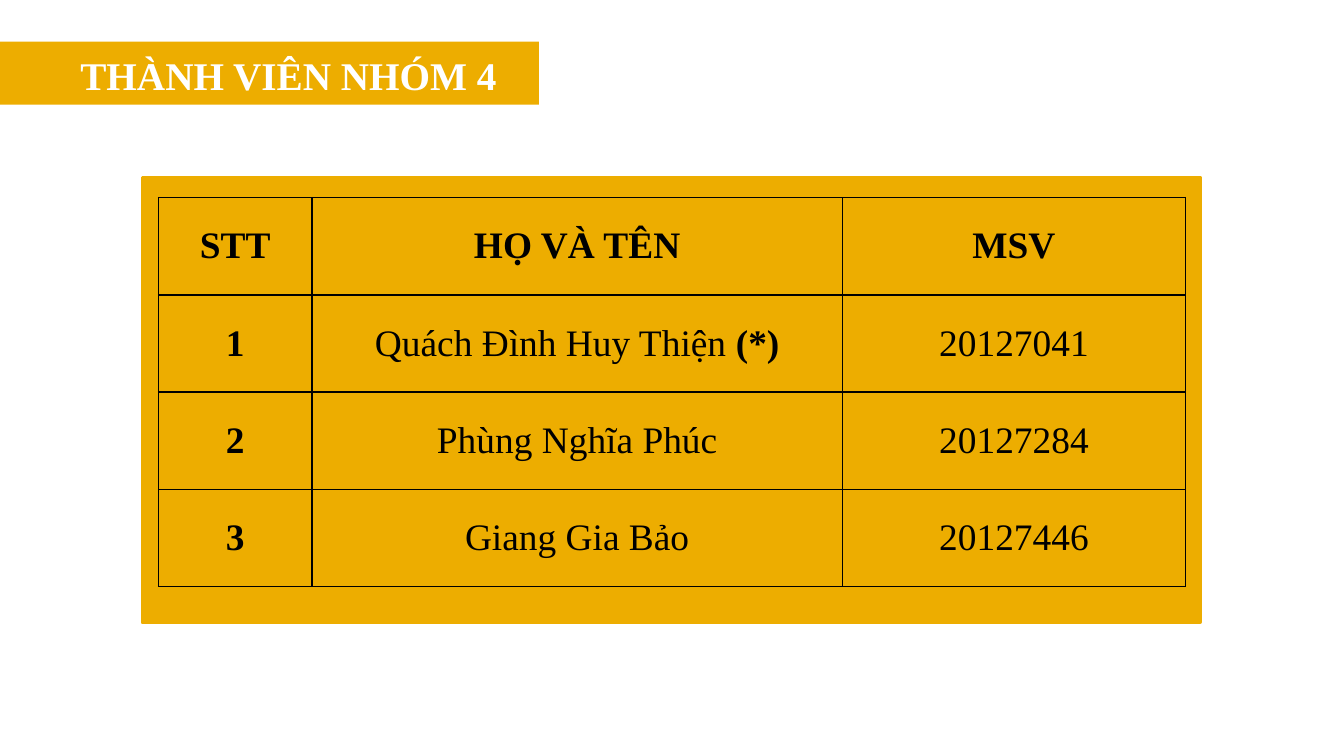
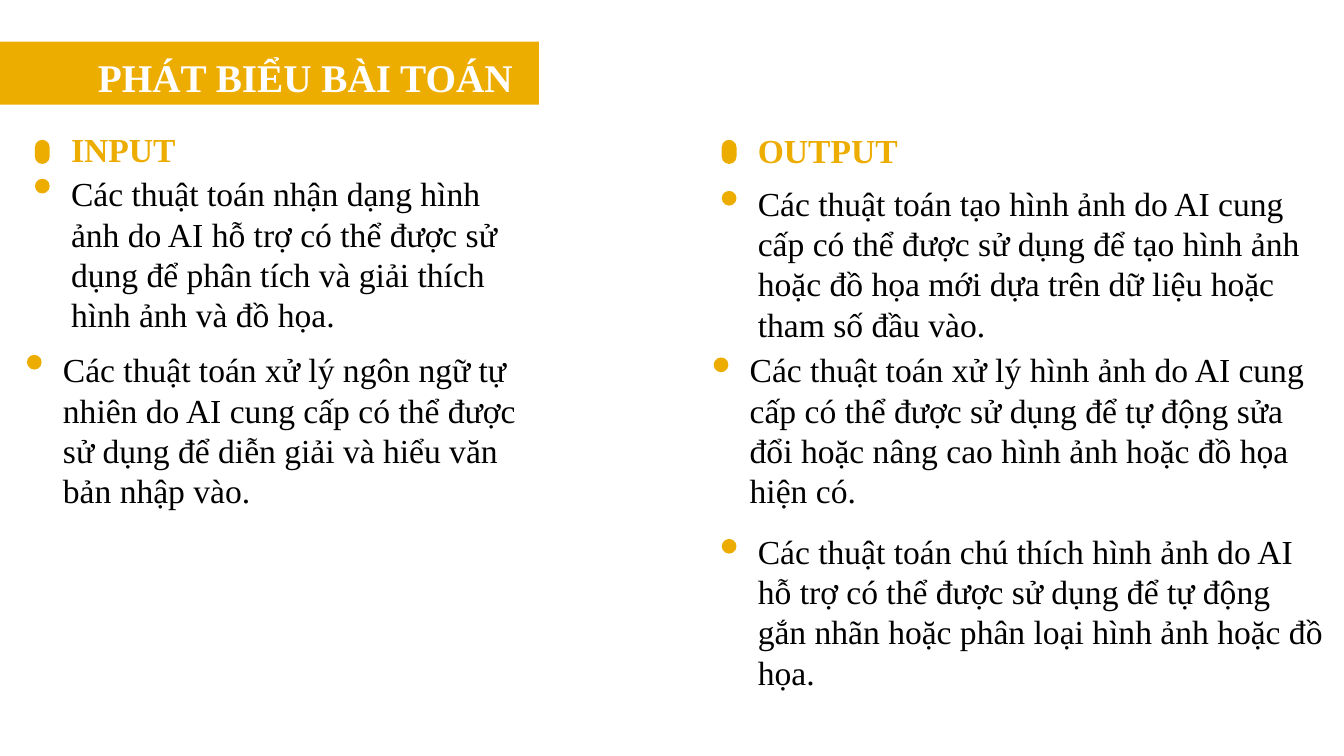
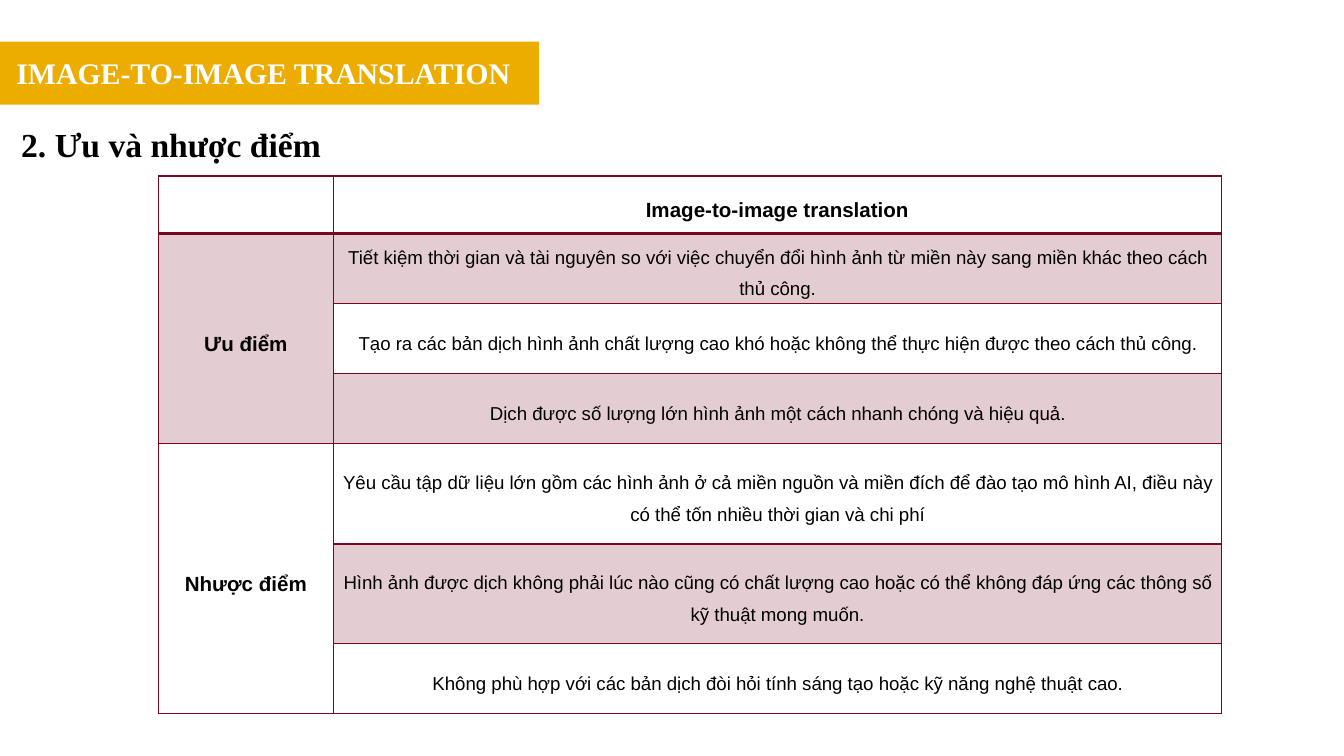
from lxml.etree import SubElement as Sub
from pptx import Presentation
from pptx.dml.color import RGBColor as Rgb
from pptx.enum.shapes import MSO_SHAPE as Form
from pptx.enum.text import MSO_ANCHOR as Anchor, MSO_AUTO_SIZE as Auto, PP_ALIGN as Align
from pptx.oxml.ns import qn
from pptx.util import Inches, Pt

CELL = Inches(0.1)
GOLD, WINE, BLACK, WHITE = "EDAD00", "7A0720", "000000", "FFFFFF"
SERIF, SANS = "Times New Roman", "Arial"
DOT, PILL, GAP = 1.1, 1.8, 1.7


def hue(code):
    return Rgb.from_string(code)


def grid(*cells):
    return [round(c * CELL) for c in cells]


def shape(slide, form, at, line=None):
    item = slide.shapes.add_shape(form, *grid(*at))
    item.shadow.inherit = False
    item.fill.solid()
    item.fill.fore_color.rgb = hue(GOLD)
    if line:
        item.line.color.rgb = hue(GOLD)
        item.line.width = Pt(line)
    else:
        item.line.fill.background()
    return item


def add_run(para, text, size, color=BLACK, bold=False, face=SERIF):
    run = para.add_run()
    run.text = text
    font = run.font
    font.name, font.size, font.bold = face, Pt(size), bold
    font.color.rgb = hue(color)


def label(slide, at, text, size=18, color=BLACK, bold=False, wrap=True):
    frame = slide.shapes.add_textbox(*grid(*at)).text_frame
    frame.word_wrap = wrap
    frame.auto_size = Auto.SHAPE_TO_FIT_TEXT
    para = frame.paragraphs[0]
    add_run(para, text, size, color, bold)
    return para


def banner(slide, text, at, size=21):
    shape(slide, Form.RECTANGLE, (0, 3.1, 40.1, 4.7))
    return label(slide, at, text, size, WHITE, True, False)


def border(cell, color, widths):
    props = cell._tc.get_or_add_tcPr()
    for side, width in zip("LRTB", widths):
        line = Sub(props, qn(f"a:ln{side}"), w=str(Pt(width)))
        fill = Sub(line, qn("a:solidFill"))
        Sub(fill, qn("a:srgbClr"), val=color)


def tint(cell, color, share):
    cell.fill.solid()
    cell.fill.fore_color.rgb = hue(color)
    code = cell._tc.tcPr.find(qn("a:solidFill")).find(qn("a:srgbClr"))
    Sub(code, qn("a:alpha"), val=str(share * 1000))


def add_table(slide, left, top, cols, rows):
    at = grid(left, top, sum(cols), sum(rows))
    table = slide.shapes.add_table(len(rows), len(cols), *at).table
    table.first_row = table.horz_banding = False
    for col, width in zip(table.columns, grid(*cols)):
        col.width = width
    for row, height in zip(table.rows, grid(*rows)):
        row.height = height
    for cell in table.iter_cells():
        cell.vertical_anchor = Anchor.MIDDLE
        cell.text_frame.paragraphs[0].alignment = Align.CENTER
    return table


def team(slide):
    shape(slide, Form.RECTANGLE, (10.6, 13.2, 78.7, 33.1), 2)
    banner(slide, "THÀNH VIÊN NHÓM 4", (5, 3.3, 33.3, 4.5))
    people = [
        ("STT", "HỌ VÀ TÊN", "MSV"),
        ("1", "Quách Đình Huy Thiện ", "20127041"),
        ("2", "Phùng Nghĩa Phúc", "20127284"),
        ("3", "Giang Gia Bảo", "20127446"),
    ]
    table = add_table(slide, 11.8, 14.7, (11.4, 39.5, 25.5), [7.24] * len(people))
    for r, row in enumerate(people):
        for c, text in enumerate(row):
            cell = table.cell(r, c)
            border(cell, BLACK, [1] * 4)
            cell.fill.background()
            add_run(cell.text_frame.paragraphs[0], text, 20, bold=r == 0 or c == 0)
    add_run(table.cell(1, 1).text_frame.paragraphs[0], "(*)", 20, bold=True)


def column(slide, left, head, top, width, drop, notes):
    pill = shape(slide, Form.ROUNDED_RECTANGLE, (left, 10.4, DOT, PILL))
    pill.adjustments[0] = 0.5
    label(slide, (left + GAP, top, 18.1, 4), head, 18, GOLD, True)
    for shift, row, text in notes:
        shape(slide, Form.OVAL, (left + shift, row + drop, DOT, DOT))
        label(slide, (left + shift + GAP, row, width, 13.1), text)


def problem(slide):
    banner(slide, "PHÁT BIỂU BÀI TOÁN", (6.3, 3.5, 33.2, 4.5))
    column(slide, 2.6, "INPUT", 9.1, 36.5, 0.9, [
        (0, 12.4, "Các thuật toán nhận dạng hình ảnh do AI hỗ trợ có thể được sử dụng "
                  "để phân tích và giải thích hình ảnh và đồ họa."),
        (-0.6, 25.5, "Các thuật toán xử lý ngôn ngữ tự nhiên do AI cung cấp có thể được "
                     "sử dụng để diễn giải và hiểu văn bản nhập vào."),
    ])
    column(slide, 53.7, "OUTPUT", 9.2, 44.2, 1.1, [
        (0, 13.1, "Các thuật toán tạo hình ảnh do AI cung cấp có thể được sử dụng để tạo "
                  "hình ảnh hoặc đồ họa mới dựa trên dữ liệu hoặc tham số đầu vào."),
        (-0.6, 25.5, "Các thuật toán xử lý hình ảnh do AI cung cấp có thể được sử dụng để "
                     "tự động sửa đổi hoặc nâng cao hình ảnh hoặc đồ họa hiện có."),
        (0, 39, "Các thuật toán chú thích hình ảnh do AI hỗ trợ có thể được sử dụng để "
                "tự động gắn nhãn hoặc phân loại hình ảnh hoặc đồ họa."),
    ])


def review(slide):
    title = banner(slide, "IMAGE-TO-IMAGE TRANSLATION", (0, 3.6, 39.2, 3.7), 16)
    title.alignment = Align.CENTER
    topic = label(slide, (0.6, 8.6, 41.4, 4), "2. Ưu và nhược điểm", bold=True)
    topic.line_spacing = Pt(22.5)
    points = [
        ("", "Image-to-image translation"),
        ("Ưu điểm", "Tiết kiệm thời gian và tài nguyên so với việc chuyển đổi hình ảnh "
                    "từ miền này sang miền khác theo cách thủ công."),
        ("", "Tạo ra các bản dịch hình ảnh chất lượng cao khó hoặc không thể thực hiện "
             "được theo cách thủ công."),
        ("", "Dịch được số lượng lớn hình ảnh một cách nhanh chóng và hiệu quả."),
        ("Nhược điểm", "Yêu cầu tập dữ liệu lớn gồm các hình ảnh ở cả miền nguồn và miền "
                       "đích để đào tạo mô hình AI, điều này có thể tốn nhiều thời gian "
                       "và chi phí"),
        ("", "Hình ảnh được dịch không phải lúc nào cũng có chất lượng cao hoặc có thể "
             "không đáp ứng các thông số kỹ thuật mong muốn."),
        ("", "Không phù hợp với các bản dịch đòi hỏi tính sáng tạo hoặc kỹ năng nghệ "
             "thuật cao."),
    ]
    rows = (4.3, 5.2, 5.2, 5.2, 7.5, 7.4, 5.2)
    table = add_table(slide, 11.8, 13.1, (13, 66.1), rows)
    for r, row in enumerate(points):
        for c, text in enumerate(row):
            cell = table.cell(r, c)
            border(cell, WINE, (1, 1, 2 if r == 1 else 1, 2 if r == 0 else 1))
            if (r % 2 if c else r in (1, 2, 3)):
                tint(cell, WINE, 20)
            else:
                cell.fill.background()
            cell.margin_left = cell.margin_right = Inches(0.06)
            cell.margin_top = cell.margin_bottom = 0
            if text:
                para = cell.text_frame.paragraphs[0]
                para.line_spacing, para.space_after = 1.5, Pt(3)
                head = r == 0 or c == 0
                add_run(para, text, 11 if head else 10, bold=head, face=SANS)
    for r in (1, 4):
        table.cell(r, 0).merge(table.cell(r + 2, 0))


def main():
    deck = Presentation()
    deck.slide_width, deck.slide_height = grid(100, 56.25)
    for build in (team, problem, review):
        build(deck.slides.add_slide(deck.slide_layouts[6]))
    deck.save("out.pptx")


if __name__ == "__main__":
    main()
